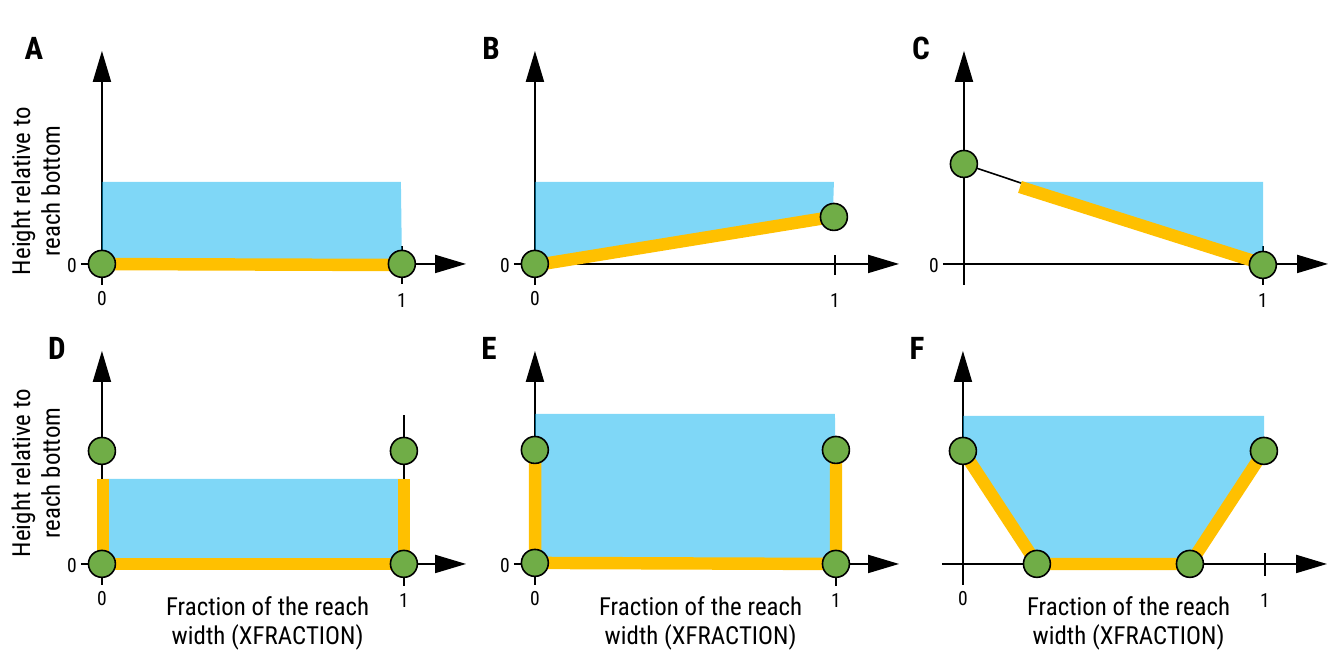
from dataclasses import dataclass

from lxml import etree
from pptx import Presentation
from pptx.dml.color import RGBColor
from pptx.enum.shapes import MSO_CONNECTOR, MSO_SHAPE
from pptx.enum.text import MSO_ANCHOR, PP_ALIGN
from pptx.oxml.ns import qn
from pptx.util import Pt

STRAIGHT = MSO_CONNECTOR.STRAIGHT
OVAL = MSO_SHAPE.OVAL
MIDDLE = MSO_ANCHOR.MIDDLE
CENTER = PP_ALIGN.CENTER

EMU_PER_PIXEL = 914400 / 224
SLIDE_WIDTH, SLIDE_HEIGHT = 1344, 672
FONT = "Roboto Condensed"
COLORS = {"ink": "000000", "water": "00B0F0", "bed": "FFC000", "node": "70AD47"}

TOP_ROW, BOTTOM_ROW = 264, 564
NODE_SIZE = 27
AXIS_START, AXIS_WIDTH, AXIS_HEIGHT = -21, 364, 213
LETTER_HEIGHT = 217
TITLE_X = 35
HEIGHT_TITLE = "Height relative to reach bottom"
FRACTION_TITLE = "Fraction of the reach width (XFRACTION)"


@dataclass
class Panel:
    """One cross section; its points are (across, up) offsets from the origin."""
    letter: str
    letter_x: int
    origin: tuple
    water: list
    bed: list
    nodes: list
    one_tick: tuple
    height_zero: bool = True
    fraction_zero: bool = True
    bank: tuple = ()

    def place(self, point):
        """Turn an offset from the origin into a slide position."""
        return self.origin[0] + point[0], self.origin[1] - point[1]


PANELS = [
    Panel("A", -68, (102, TOP_ROW),
          [(0, 82), (299, 82), (300, 0), (0, 0)], [(0, 0), (300, -1)],
          [(0, 0), (300, 0)], (300, 18, -20)),
    Panel("B", -44, (535, TOP_ROW),
          [(0, 82), (299, 82), (298, 47), (0, 0)], [(2, -1), (297, 47)],
          [(0, 0), (299, 47)], (300, 9, -11)),
    Panel("C", -43, (964, TOP_ROW),
          [(299, 82), (55, 82), (299, 0)], [(299, 0), (56, 77)],
          [(0, 100), (299, -1)], (299, 18, -21),
          fraction_zero=False, bank=((0, 100), (299, 0))),
    Panel("D", -45, (102, BOTTOM_ROW),
          [(1, 85), (302, 85), (302, 0), (1, 0)],
          [(1, 85), (1, 0), (302, 0), (302, 85)],
          [(0, 0), (302, 0), (0, 113), (302, 113)], (302, 149, -22)),
    Panel("E", -46, (535, BOTTOM_ROW),
          [(0, 150), (300, 150), (301, 0), (0, 0)],
          [(0, 107), (0, 1), (301, 0), (301, 107)],
          [(0, 1), (301, 0), (0, 114), (301, 114)], (301, 47, -22)),
    Panel("F", -46, (963, BOTTOM_ROW),
          [(0, 148), (301, 148), (301, 113), (227, 0), (74, 0), (0, 113)],
          [(0, 113), (74, 0), (227, 0), (301, 113)],
          [(74, 0), (227, 0), (0, 113), (301, 113)], (302, 11, -12),
          height_zero=False),
]


def emu(pixels):
    """Convert pixels to EMU."""
    return round(pixels * EMU_PER_PIXEL)


def rgb(name):
    """Look up a named colour."""
    return RGBColor.from_string(COLORS[name])


def add_line(shapes, start, end, arrow=False):
    """Draw a thin line, with an arrowhead at its end if asked."""
    line = shapes.add_connector(STRAIGHT, *map(emu, (*start, *end)))
    line.line.color.rgb = rgb("ink")
    line.line.width = Pt(0.5)
    if arrow:
        etree.SubElement(line.line._get_or_add_ln(), qn("a:tailEnd"),
                         type="triangle", w="med", len="lg")
    etree.SubElement(line._element.spPr, qn("a:effectLst"))


def add_outline(shapes, points, closed):
    """Build a freeform through the points."""
    first, *rest = [(emu(x), emu(y)) for x, y in points]
    builder = shapes.build_freeform(*first)
    builder.add_line_segments(rest, close=closed)
    outline = builder.convert_to_shape()
    outline.shadow.inherit = False
    return outline


def add_water(shapes, points):
    """Fill the wetted area with half-transparent blue."""
    water = add_outline(shapes, points, True)
    water.fill.solid()
    water.fill.fore_color.rgb = rgb("water")
    color = water._element.spPr.find(f"{qn('a:solidFill')}/{qn('a:srgbClr')}")
    etree.SubElement(color, qn("a:alpha"), val="50000")
    water.line.fill.background()


def add_bed(shapes, points):
    """Draw the wetted perimeter as a thick open line."""
    bed = add_outline(shapes, points, False)
    bed.fill.background()
    bed.line.color.rgb = rgb("bed")
    bed.line.width = Pt(4)


def add_node(shapes, center):
    """Draw a round node of the profile."""
    corner = [emu(c - NODE_SIZE / 2) for c in center]
    node = shapes.add_shape(OVAL, *corner, emu(NODE_SIZE), emu(NODE_SIZE))
    node.shadow.inherit = False
    node.fill.solid()
    node.fill.fore_color.rgb = rgb("node")
    node.line.color.rgb = rgb("ink")
    node.line.width = Pt(0.5)


def add_text(shapes, text, center, size, width=40, height=46, bold=False, rotation=0):
    """Write text centred on a point."""
    left, top = center[0] - width / 2, center[1] - height / 2
    label = shapes.add_textbox(*map(emu, (left, top, width, height)))
    label.rotation = rotation
    frame = label.text_frame
    frame.margin_left = frame.margin_right = frame.margin_top = frame.margin_bottom = 0
    frame.word_wrap = True
    frame.vertical_anchor = MIDDLE
    frame.text = text
    paragraph = frame.paragraphs[0]
    paragraph.alignment = CENTER
    font = paragraph.runs[0].font
    font.name, font.size, font.bold = FONT, Pt(size), bold
    font.color.rgb = rgb("ink")


def add_panel(shapes, panel):
    """Draw the axes, section and labels of one panel."""
    place = panel.place
    one_x, tick_top, tick_bottom = panel.one_tick
    add_line(shapes, place((0, AXIS_START)), place((0, AXIS_HEIGHT)), arrow=True)
    add_line(shapes, place((AXIS_START, 0)), place((AXIS_WIDTH, 0)), arrow=True)
    add_line(shapes, place((one_x, tick_bottom)), place((one_x, tick_top)))
    if panel.bank:
        add_line(shapes, *map(place, panel.bank))
    add_water(shapes, [place(point) for point in panel.water])
    add_bed(shapes, [place(point) for point in panel.bed])
    for node in panel.nodes:
        add_node(shapes, place(node))
    add_text(shapes, panel.letter, place((panel.letter_x, LETTER_HEIGHT)), 10, bold=True)
    add_text(shapes, "1", place((one_x, -36)), 6.3)
    if panel.height_zero:
        add_text(shapes, "0", place((-30, -1)), 6.3)
    if panel.fraction_zero:
        add_text(shapes, "0", place((0, -34)), 6.3)
    if panel.origin[1] == BOTTOM_ROW:
        add_text(shapes, FRACTION_TITLE, place((166, -56)), 8, width=222, height=60)


def main():
    """Build the slide of six reach cross sections."""
    deck = Presentation()
    deck.slide_width, deck.slide_height = emu(SLIDE_WIDTH), emu(SLIDE_HEIGHT)
    shapes = deck.slides.add_slide(deck.slide_layouts[6]).shapes
    for panel in PANELS:
        add_panel(shapes, panel)
    for title_y in (191, 473):
        add_text(shapes, HEIGHT_TITLE, (TITLE_X, title_y), 8,
                 width=208, height=60, rotation=270)
    deck.save("out.pptx")


main()
